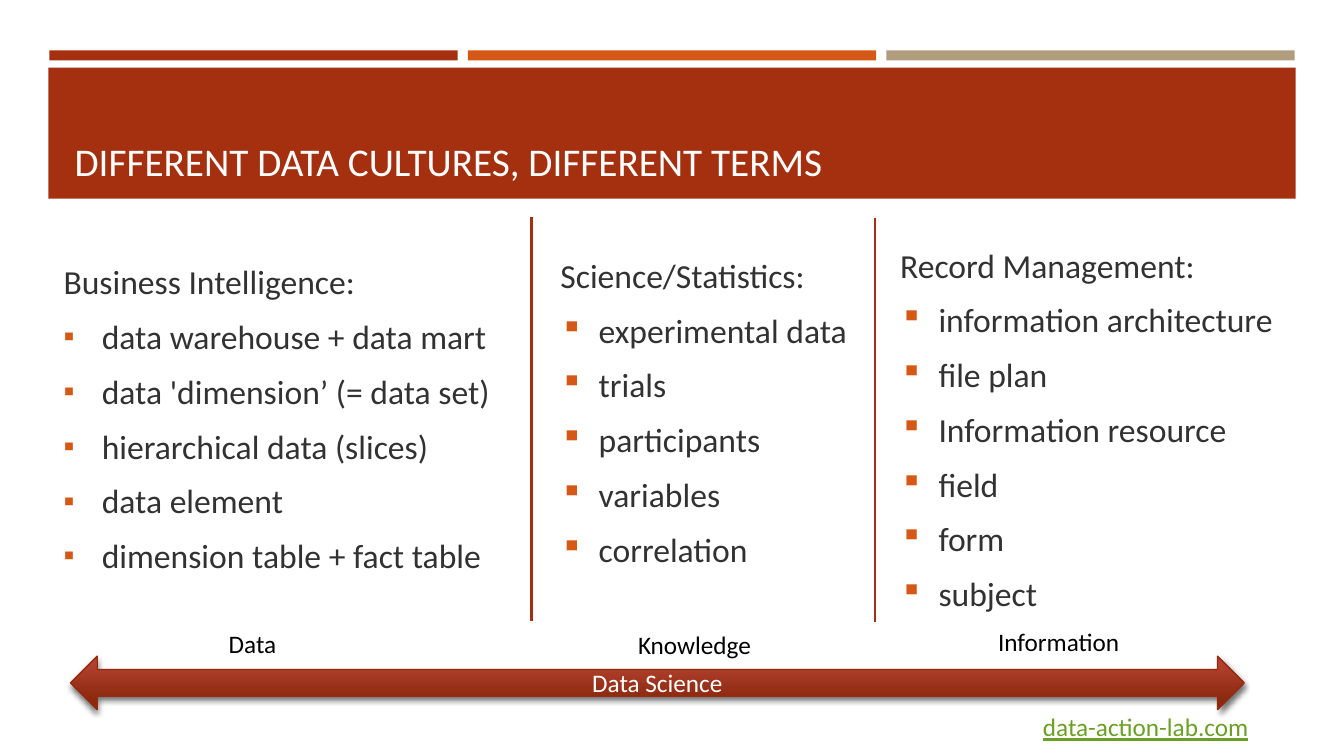
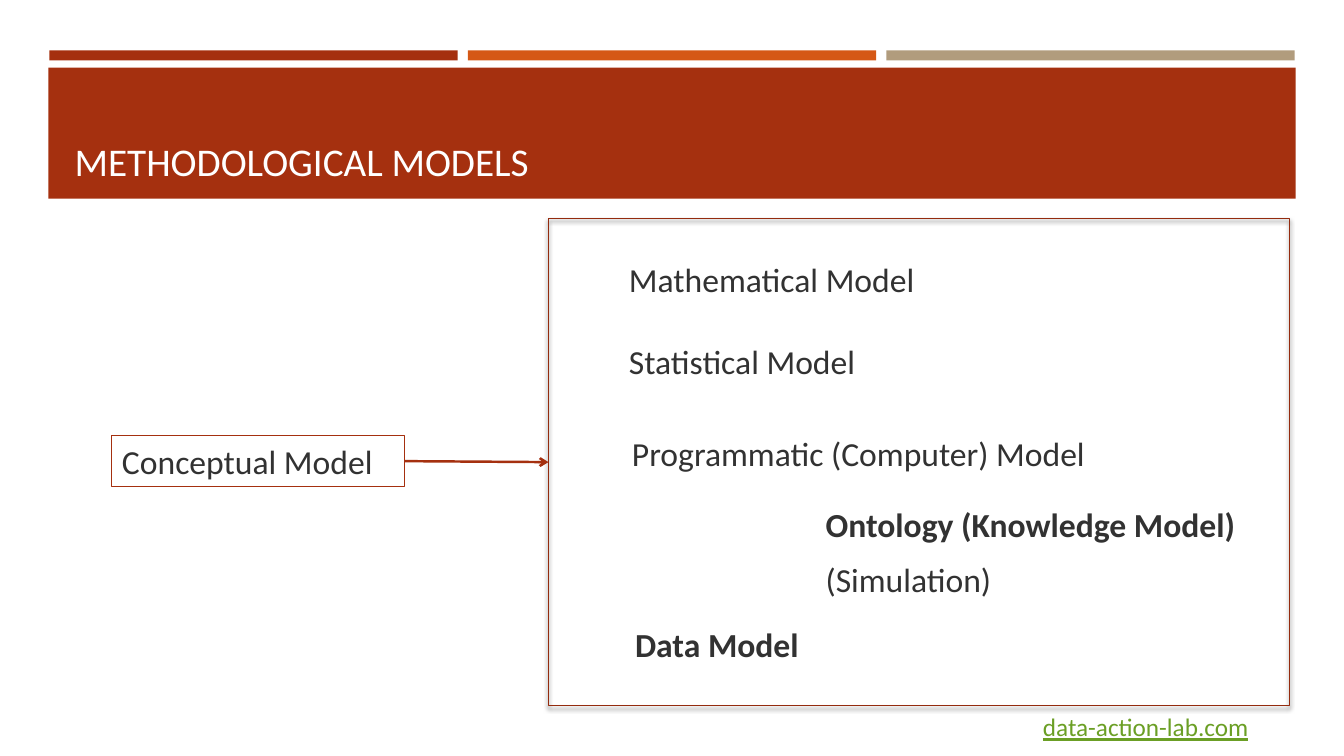
from dataclasses import dataclass
from typing import NamedTuple

from lxml.etree import SubElement
from pptx import Presentation
from pptx.dml.color import RGBColor
from pptx.enum.shapes import MSO_CONNECTOR, MSO_SHAPE
from pptx.enum.text import MSO_ANCHOR, MSO_AUTO_SIZE, PP_ALIGN
from pptx.oxml.ns import qn
from pptx.util import Emu, Pt

EMU_PER_PX = 9144


def px(length):
    return Emu(length * EMU_PER_PX)


class Box(NamedTuple):
    left: int
    top: int
    width: int
    height: int

    def inner(self, left, top, width, height):
        """Box whose left and top are measured from this one's corner."""
        return Box(self.left + left, self.top + top, width, height)

    def emu(self):
        return [px(length) for length in self]


@dataclass(frozen=True)
class Theme:
    font: str = "Calibri"
    title_size: int = 28
    body_size: int = 24
    label_size: int = 18
    brick: str = "A5300F"
    orange: str = "D55816"
    sand: str = "B19C7D"
    green: str = "6B9F25"
    text: str = "323232"
    black: str = "000000"
    white: str = "FFFFFF"
    outline: str = "942B0E"
    arrow_top: str = "B84635"
    arrow_bottom: str = "8B280D"


THEME = Theme()


def rgb(color):
    return RGBColor.from_string(color)


def format_paragraph(paragraph, size, color, bold=False, align=PP_ALIGN.LEFT):
    paragraph.alignment = align
    font = paragraph.font
    font.name, font.size, font.bold = THEME.font, Pt(size), bold
    font.color.rgb = rgb(color)


def place(shape, box):
    shape.left, shape.top, shape.width, shape.height = box.emu()


def add_plain_shape(slide, kind, box):
    shape = slide.shapes.add_shape(kind, *box.emu())
    shape.shadow.inherit = False
    return shape


def add_color_bar(slide, box, color):
    bar = add_plain_shape(slide, MSO_SHAPE.RECTANGLE, box)
    bar.fill.solid()
    bar.fill.fore_color.rgb = rgb(color)
    bar.line.fill.background()
    return bar


def add_soft_shadow(shape):
    effects = shape.element.spPr.find(qn("a:effectLst"))
    shadow = SubElement(effects, qn("a:outerShdw"), blurRad=str(Pt(3)), dist=str(Pt(2)),
                        dir="5400000", rotWithShape="0")
    color = SubElement(shadow, qn("a:srgbClr"), val=THEME.black)
    SubElement(color, qn("a:alpha"), val="55000")


def set_outline(shape, color, points):
    shape.line.color.rgb = rgb(color)
    shape.line.width = Pt(points)


def add_line(slide, start, end, arrow=False):
    line = slide.shapes.add_connector(
        MSO_CONNECTOR.STRAIGHT, *(px(length) for length in (*start, *end)))
    set_outline(line, THEME.brick, 1.75)
    properties = line.element.spPr
    if arrow:
        SubElement(properties.find(qn("a:ln")), qn("a:tailEnd"), type="arrow")
    SubElement(properties, qn("a:effectLst"))
    return line


def set_bullet(paragraph, bulleted):
    properties = paragraph._p.get_or_add_pPr()
    indent = px(38) if bulleted else 0
    properties.set("marL", str(indent))
    properties.set("indent", str(-indent))
    if bulleted:
        color = SubElement(properties, qn("a:buClr"))
        SubElement(color, qn("a:srgbClr"), val=THEME.orange)
        SubElement(properties, qn("a:buSzPct"), val="92000")
        SubElement(properties, qn("a:buChar"), char="▪")
    else:
        SubElement(properties, qn("a:buNone"))


def fill_body(shape, lines, bulleted=False, bold_first=False):
    """Write a heading line and the lines under it, centred vertically."""
    frame = shape.text_frame
    frame.word_wrap = True
    frame.auto_size = MSO_AUTO_SIZE.NONE
    frame.vertical_anchor = MSO_ANCHOR.MIDDLE
    for index, line in enumerate(lines):
        paragraph = frame.paragraphs[0] if index == 0 else frame.add_paragraph()
        paragraph.text = line
        set_bullet(paragraph, bulleted and index > 0)
        paragraph.space_before = Pt(4.3 if index else 0)
        paragraph.space_after = Pt(6)
        format_paragraph(paragraph, THEME.body_size, THEME.text, bold_first and index == 0)


def add_label(slide, box, text, color=THEME.black, align=PP_ALIGN.LEFT, wrap=False):
    label = slide.shapes.add_textbox(*box.emu())
    frame = label.text_frame
    frame.word_wrap = wrap
    frame.auto_size = MSO_AUTO_SIZE.SHAPE_TO_FIT_TEXT
    frame.text = text
    format_paragraph(frame.paragraphs[0], THEME.label_size, color, align=align)
    return label


def add_header(slide, box):
    """Three stripes above the title band."""
    gap = 10
    stripe_width = (box.width - 2 - 2 * gap) // 3
    stripes = [
        add_color_bar(slide, box.inner(1 + column * (stripe_width + gap), 0, stripe_width, 10), color)
        for column, color in enumerate((THEME.brick, THEME.orange, THEME.sand))
    ]
    return [*stripes, add_color_bar(slide, box.inner(0, 17, box.width, box.height - 17), THEME.brick)]


def add_footer(slide, box):
    footer = add_label(slide, box, "data-action-lab.com", THEME.green, PP_ALIGN.RIGHT, wrap=True)
    footer.text_frame.paragraphs[0].font.underline = True
    return footer


def decorate_layout(layout, slide):
    """Draw the shared parts on a slide, then move them behind the layout's placeholders."""
    for placeholder in list(layout.placeholders):
        if placeholder.placeholder_format.idx >= 10:
            layout.shapes.element.remove(placeholder.element)
    shared = add_header(slide, Box(48, 50, 1237, 147))
    shared.append(add_footer(slide, Box(988, 701, 260, 40)))
    for position, shape in enumerate(shared, start=2):
        layout.shapes.element.insert(position, shape.element)


def set_title(slide, text):
    title = slide.shapes.title
    place(title, Box(64, 77, 1206, 111))
    title.text_frame.text = text
    title.text_frame.auto_size = MSO_AUTO_SIZE.NONE
    title.text_frame.vertical_anchor = MSO_ANCHOR.BOTTOM
    format_paragraph(title.text_frame.paragraphs[0], THEME.title_size, THEME.white)


def add_term_columns(slide, box):
    columns = (
        ((0, 16, 473, 368), ("Business Intelligence:", "data warehouse + data mart",
                             "data 'dimension’ (= data set)", "hierarchical data (slices)",
                             "data element", "dimension table + fact table")),
        ((493, 5, 332, 377), ("Science/Statistics:", "experimental data", "trials",
                              "participants", "variables", "correlation")),
        ((830, 29, 405, 363), ("Record Management:", "information architecture", "file plan",
                               "Information resource", "field", "form", "subject")),
    )
    for index, (offsets, lines) in enumerate(columns):
        area = box.inner(*offsets)
        if index == 0:
            column = slide.placeholders[1]
            place(column, area)
        else:
            column = slide.shapes.add_textbox(*area.emu())
        fill_body(column, lines, bulleted=True)
    for left, top in ((474, 0), (815, 1)):
        x, y = box.left + left, box.top + top
        add_line(slide, (x, y), (x, y + box.height))


def add_spectrum(slide, box):
    """Double arrow with the three names above it."""
    arrow = add_plain_shape(slide, MSO_SHAPE.LEFT_RIGHT_ARROW, box)
    arrow.fill.gradient()
    arrow.fill.gradient_angle = 270
    stops = ((0, THEME.arrow_top), (0.84, THEME.arrow_bottom))
    for stop, (position, color) in zip(arrow.fill.gradient_stops, stops):
        stop.position = position
        stop.color.rgb = rgb(color)
    set_outline(arrow, THEME.outline, 1)
    add_soft_shadow(arrow)
    arrow.text_frame.text = "Data Science"
    arrow.text_frame.vertical_anchor = MSO_ANCHOR.MIDDLE
    format_paragraph(arrow.text_frame.paragraphs[0], THEME.label_size, THEME.white,
                     align=PP_ALIGN.CENTER)
    for text, left, top, width in (("Data", 147, -33, 71), ("Knowledge", 553, -32, 141),
                                   ("Information", 910, -35, 142)):
        add_label(slide, box.inner(left, top, width, 40), text)


def add_model_frame(slide, box):
    models = (
        ((70, 34, 413, 51), ("Mathematical Model",), False),
        ((70, 116, 290, 51), ("Statistical Model",), False),
        ((73, 207, 596, 51), ("Programmatic (Computer) Model",), False),
        ((76, 396, 461, 51), ("Data Model",), True),
        ((265, 278, 461, 104), ("Ontology (Knowledge Model)", "(Simulation)"), True),
    )
    for offsets, lines, bold in models:
        model = slide.shapes.add_textbox(*box.inner(*offsets).emu())
        fill_body(model, lines, bold_first=bold)
    frame = add_plain_shape(slide, MSO_SHAPE.RECTANGLE, box)
    frame.fill.background()
    set_outline(frame, THEME.outline, 1)
    add_soft_shadow(frame)
    return frame


def build_terms_slide(slide):
    set_title(slide, "DIFFERENT DATA CULTURES, DIFFERENT TERMS")
    add_term_columns(slide, Box(53, 215, 1235, 401))
    add_spectrum(slide, Box(70, 651, 1164, 53))


def build_models_slide(slide):
    set_title(slide, "METHODOLOGICAL MODELS")
    concept = slide.placeholders[1]
    place(concept, Box(111, 432, 290, 51))
    fill_body(concept, ("Conceptual Model",))
    set_outline(concept, THEME.brick, 0.75)
    frame = add_model_frame(slide, Box(544, 217, 735, 483))
    link = add_line(slide, (401, 458), (544, 459), arrow=True)
    link.begin_connect(concept, 3)
    link.end_connect(frame, 1)


def main():
    presentation = Presentation()
    presentation.slide_width, presentation.slide_height = px(1333), px(750)
    layout = presentation.slide_layouts[1]
    slides = [presentation.slides.add_slide(layout) for _ in range(2)]
    decorate_layout(layout, slides[0])
    build_terms_slide(slides[0])
    build_models_slide(slides[1])
    presentation.save("out.pptx")


if __name__ == "__main__":
    main()
